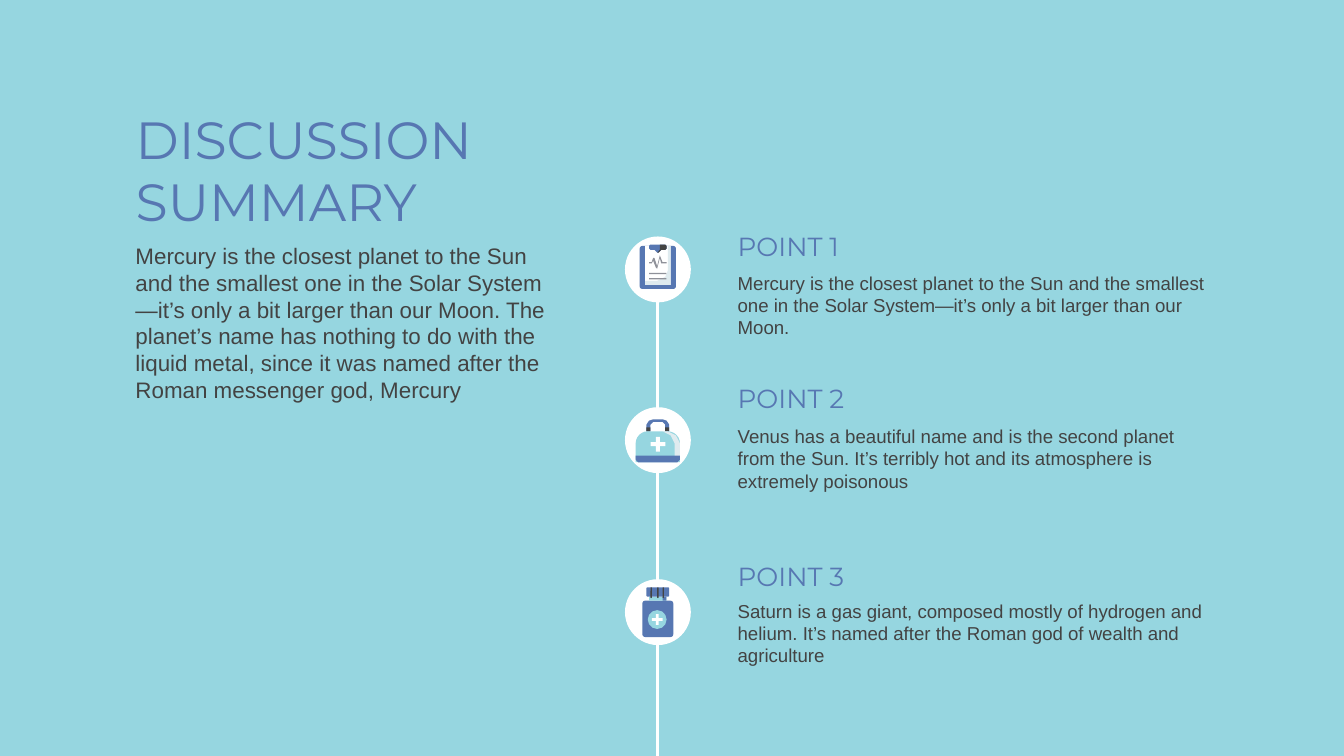
"""Build a discussion summary slide with a vertical timeline of three points."""
from dataclasses import dataclass

from lxml import etree
from pptx import Presentation
from pptx.dml.color import RGBColor
from pptx.enum.shapes import MSO_CONNECTOR, MSO_SHAPE
from pptx.enum.text import MSO_ANCHOR, MSO_AUTO_SIZE, PP_ALIGN
from pptx.oxml.ns import qn
from pptx.util import Inches, Pt

RECTANGLE = MSO_SHAPE.RECTANGLE
ROUNDED = MSO_SHAPE.ROUNDED_RECTANGLE
ROUND_TOP = MSO_SHAPE.ROUND_2_SAME_RECTANGLE
OVAL = MSO_SHAPE.OVAL
CROSS = MSO_SHAPE.CROSS
STRAIGHT = MSO_CONNECTOR.STRAIGHT
TOP, BOTTOM = MSO_ANCHOR.TOP, MSO_ANCHOR.BOTTOM
LEFT = PP_ALIGN.LEFT
NO_AUTO_SIZE = MSO_AUTO_SIZE.NONE

BLUE, AQUA, WHITE = "5777B2", "96D6E0", "FFFFFF"
DARK, PALE, GRAY = "434343", "DFEBEF", "8F9199"
HEADING_FONT, BODY_FONT = "Montserrat", "Arial"
SLIDE_WIDTH = 10
SLIDE_HEIGHT = SLIDE_WIDTH * 9 / 16
AXIS_X = 4.89
CIRCLE_LEFT, CIRCLE_SIZE = 4.65, 0.49


@dataclass(frozen=True)
class TextStyle:
    font: str
    size: float
    color: str
    anchor: MSO_ANCHOR


@dataclass(frozen=True)
class Part:
    kind: MSO_SHAPE
    left: float
    top: float
    width: float
    height: float
    color: str
    inset: float = 0


@dataclass(frozen=True)
class Outline:
    points: tuple
    color: str


@dataclass(frozen=True)
class Point:
    heading: str
    heading_top: float
    body: str
    body_top: float
    circle_top: float
    icon: tuple


TITLE = TextStyle(HEADING_FONT, 28, BLUE, BOTTOM)
HEADING = TextStyle(HEADING_FONT, 14, BLUE, BOTTOM)
SUMMARY = TextStyle(BODY_FONT, 12, DARK, TOP)
DETAIL = TextStyle(BODY_FONT, 10, DARK, TOP)

CLIPBOARD = (
    Part(ROUNDED, 4.76, 1.83, 0.27, 0.32, BLUE, 0.02),
    Part(RECTANGLE, 4.8, 1.83, 0.19, 0.29, WHITE),
    Outline(((4.97, 1.83), (4.97, 2.01), (4.95, 2.06), (4.89, 2.09), (4.8, 2.09),
             (4.8, 2.12), (4.99, 2.12), (4.99, 1.83)), PALE),
    Outline(((4.84, 1.82), (4.83, 1.83), (4.83, 1.85), (4.84, 1.86), (4.87, 1.86),
             (4.89, 1.88), (4.9, 1.88), (4.92, 1.86), (4.95, 1.86), (4.96, 1.85),
             (4.96, 1.83), (4.95, 1.82)), BLUE),
    Outline(((4.91, 1.82), (4.91, 1.86), (4.89, 1.88), (4.9, 1.88), (4.92, 1.86),
             (4.95, 1.86), (4.96, 1.85), (4.96, 1.83), (4.95, 1.82)), DARK),
    Outline(((4.91, 1.9), (4.89, 1.98), (4.87, 1.92), (4.86, 1.92), (4.85, 1.95),
             (4.83, 1.95), (4.83, 1.96), (4.85, 1.96), (4.86, 1.94), (4.88, 1.99),
             (4.89, 2.0), (4.91, 1.92), (4.92, 1.96), (4.96, 1.96), (4.96, 1.95),
             (4.93, 1.95)), GRAY),
    *(Part(RECTANGLE, 4.83, top, 0.13, 0.01, GRAY) for top in (2.03, 2.07)),
)

MEDICAL_BAG = (
    Outline(((4.81, 3.21), (4.81, 3.16), (4.83, 3.13), (4.86, 3.12), (4.93, 3.12),
             (4.96, 3.13), (4.98, 3.16), (4.98, 3.21), (4.95, 3.21), (4.95, 3.16),
             (4.93, 3.14), (4.86, 3.14), (4.84, 3.16), (4.84, 3.21)), BLUE),
    *(Part(RECTANGLE, left, 3.18, 0.03, 0.03, DARK) for left in (4.81, 4.95)),
    Part(ROUND_TOP, 4.73, 3.21, 0.33, 0.23, AQUA, 0.09),
    Outline(((4.93, 3.21), (4.97, 3.21), (5.03, 3.24), (5.06, 3.3), (5.06, 3.42),
             (5.04, 3.44), (5.0, 3.44), (5.02, 3.42), (5.02, 3.3), (4.99, 3.24)), PALE),
    Outline(((4.73, 3.39), (4.73, 3.42), (4.75, 3.44), (5.04, 3.44), (5.06, 3.42),
             (5.06, 3.39)), BLUE),
    Part(CROSS, 4.84, 3.25, 0.11, 0.11, WHITE, 0.04),
)

MEDICINE_BOTTLE = (
    Part(ROUNDED, 4.78, 4.47, 0.23, 0.27, BLUE, 0.02),
    Part(RECTANGLE, 4.83, 4.44, 0.13, 0.03, AQUA),
    Part(RECTANGLE, 4.93, 4.44, 0.03, 0.03, BLUE),
    Part(ROUNDED, 4.81, 4.37, 0.17, 0.07, BLUE, 0.01),
    Part(OVAL, 4.82, 4.54, 0.14, 0.14, AQUA),
    Part(CROSS, 4.85, 4.57, 0.08, 0.08, WHITE, 0.03),
    *(Part(ROUNDED, left, 4.37, 0.01, 0.08, DARK, 0.01) for left in (4.84, 4.89, 4.93)),
)

POINTS = (
    Point("POINT 1", 1.46,
          "Mercury is the closest planet to the Sun and the smallest one in the Solar "
          "System—it’s only a bit larger than our Moon.", 1.92, 1.76, CLIPBOARD),
    Point("POINT 2", 2.59,
          "Venus has a beautiful name and is the second planet from the Sun. It’s "
          "terribly hot and its atmosphere is extremely poisonous", 3.06, 3.03, MEDICAL_BAG),
    Point("POINT 3", 3.91,
          "Saturn is a gas giant, composed mostly of hydrogen and helium. It’s named "
          "after the Roman god of wealth and agriculture", 4.36, 4.31, MEDICINE_BOTTLE),
)


def rgb(color: str) -> RGBColor:
    return RGBColor.from_string(color)


def write_text(shape, text: str, style: TextStyle) -> None:
    frame = shape.text_frame
    frame.word_wrap = True
    frame.auto_size = NO_AUTO_SIZE
    frame.vertical_anchor = style.anchor
    frame.margin_left = frame.margin_right = Inches(0.1)
    frame.margin_top = frame.margin_bottom = Inches(0.1)
    paragraph = frame.paragraphs[0]
    paragraph.text = text
    paragraph.alignment = LEFT
    paragraph.line_spacing = 1.0
    paragraph.font.name = style.font
    paragraph.font.size = Pt(style.size)
    paragraph.font.color.rgb = rgb(style.color)


def add_text(slide, left: float, top: float, width: float, height: float,
             text: str, style: TextStyle) -> None:
    box = slide.shapes.add_textbox(Inches(left), Inches(top), Inches(width), Inches(height))
    write_text(box, text, style)


def paint(shape, color: str) -> None:
    shape.shadow.inherit = False
    shape.fill.solid()
    shape.fill.fore_color.rgb = rgb(color)
    shape.line.fill.background()


def add_part(shapes, part: Part) -> None:
    shape = shapes.add_shape(part.kind, Inches(part.left), Inches(part.top),
                             Inches(part.width), Inches(part.height))
    if part.inset:
        shape.adjustments[0] = min(0.5, part.inset / min(part.width, part.height))
    paint(shape, part.color)


def add_outline(shapes, outline: Outline) -> None:
    start, *rest = [(Inches(x), Inches(y)) for x, y in outline.points]
    builder = shapes.build_freeform(*start)
    builder.add_line_segments(rest, close=True)
    paint(builder.convert_to_shape(), outline.color)


def add_icon(slide, icon: tuple) -> None:
    group = slide.shapes.add_group_shape()
    for item in icon:
        if isinstance(item, Part):
            add_part(group.shapes, item)
        else:
            add_outline(group.shapes, item)


def add_timeline(slide) -> None:
    connector = slide.shapes.add_connector(
        STRAIGHT, Inches(AXIS_X), Inches(1.82), Inches(AXIS_X), Inches(6.19))
    connector.line.color.rgb = rgb(WHITE)
    connector.line.width = Pt(1.5)
    etree.SubElement(connector.line._get_or_add_ln(), qn("a:headEnd"), type="oval")
    etree.SubElement(connector._element.spPr, qn("a:effectLst"))


def main() -> None:
    presentation = Presentation()
    presentation.slide_width = Inches(SLIDE_WIDTH)
    presentation.slide_height = Inches(SLIDE_HEIGHT)
    slide = presentation.slides.add_slide(presentation.slide_layouts[5])
    slide.background.fill.solid()
    slide.background.fill.fore_color.rgb = rgb(AQUA)

    title = slide.shapes.title
    title.left, title.top = Inches(0.91), Inches(-0.42)
    title.width, title.height = Inches(4.23), Inches(2.25)
    write_text(title, "DISCUSSION SUMMARY", TITLE)
    add_text(slide, 0.91, 1.7, 3.37, 1.95,
             "Mercury is the closest planet to the Sun and the smallest one in the Solar "
             "System—it’s only a bit larger than our Moon. The planet’s name has nothing "
             "to do with the liquid metal, since it was named after the Roman messenger "
             "god, Mercury", SUMMARY)

    add_timeline(slide)
    for point in POINTS:
        add_text(slide, 5.39, point.heading_top, 1.58, 0.59, point.heading, HEADING)
        add_text(slide, 5.39, point.body_top, 3.68, 0.67, point.body, DETAIL)
        add_part(slide.shapes, Part(OVAL, CIRCLE_LEFT, point.circle_top,
                                    CIRCLE_SIZE, CIRCLE_SIZE, WHITE))
        add_icon(slide, point.icon)
    presentation.save("out.pptx")


if __name__ == "__main__":
    main()
